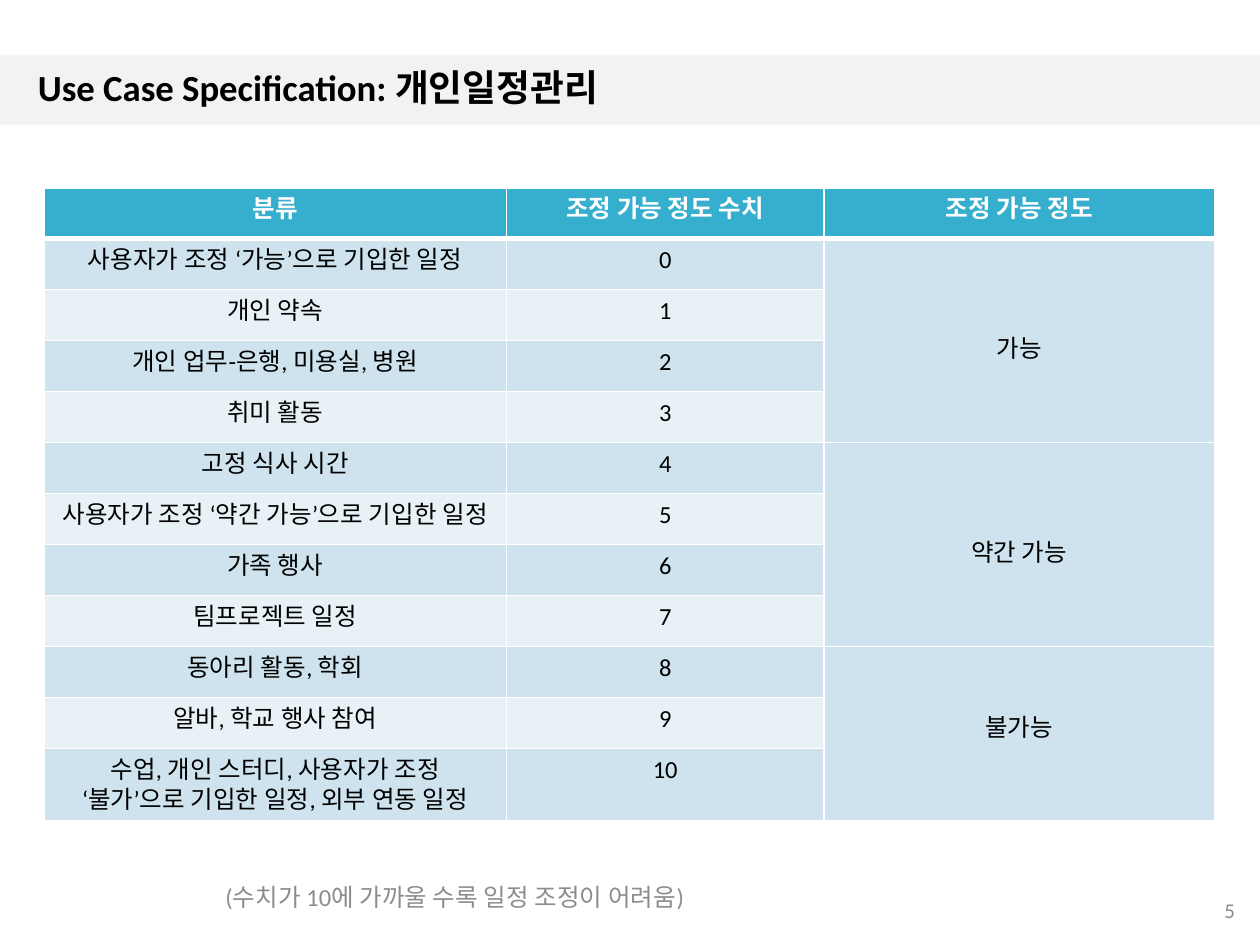
from lxml import etree
from pptx import Presentation
from pptx.dml.color import RGBColor
from pptx.enum.lang import MSO_LANGUAGE_ID
from pptx.enum.shapes import MSO_SHAPE
from pptx.enum.text import MSO_ANCHOR, MSO_AUTO_SIZE, PP_ALIGN
from pptx.oxml.ns import qn
from pptx.util import Inches, Pt

RECTANGLE = MSO_SHAPE.RECTANGLE
LEFT, CENTER, RIGHT = PP_ALIGN.LEFT, PP_ALIGN.CENTER, PP_ALIGN.RIGHT
MIDDLE = MSO_ANCHOR.MIDDLE
NO_AUTOFIT = MSO_AUTO_SIZE.NONE
KOREAN = MSO_LANGUAGE_ID.KOREAN
TITLE_ONLY = 5

FONT = "Calibri"
BLACK, WHITE, GRAY = "000000", "FFFFFF", "8C8C8C"
BAND, HEADER = "F2F2F2", "36AFCE"
STRIPES = ("CEE3ED", "E8F2F6")

COLUMN_WIDTHS = (3.67, 2.52, 3.1)
HEADINGS = ("분류", "조정 가능 정도 수치", "조정 가능 정도")
CATEGORIES = (
    "사용자가 조정 ‘가능’으로 기입한 일정",
    "개인 약속",
    "개인 업무-은행, 미용실, 병원",
    "취미 활동",
    "고정 식사 시간",
    "사용자가 조정 ‘약간 가능’으로 기입한 일정",
    "가족 행사",
    "팀프로젝트 일정",
    "동아리 활동, 학회",
    "알바, 학교 행사 참여",
    "수업, 개인 스터디, 사용자가 조정 ‘불가’으로 기입한 일정, 외부 연동 일정",
)
# Label, number of rows covered, space above the label
LEVELS = (("가능", 4, 0.76), ("약간 가능", 4, 0.76), ("불가능", 3, 0.53))


def color(value):
    return RGBColor.from_string(value)


def place(shape, box):
    for name, length in zip(("left", "top", "width", "height"), box):
        setattr(shape, name, Inches(length))


def write(frame, text, size, ink, align=LEFT, bold=False):
    para = frame.paragraphs[0]
    para.alignment = align
    span = para.add_run()
    span.text = text
    font_values = {"name": FONT, "size": Pt(size), "bold": bold,
                   "language_id": KOREAN}
    for name, value in font_values.items():
        setattr(span.font, name, value)
    span.font.color.rgb = color(ink)
    latin = span._r.get_or_add_rPr().find(qn("a:latin"))
    latin.addnext(etree.Element(qn("a:ea"), typeface=FONT))
    return para


def add_band(page, box):
    """Add the heading strip behind everything else."""
    band = page.shapes.add_shape(RECTANGLE, *map(Inches, box))
    band.shadow.inherit = False
    band.fill.solid()
    band.fill.fore_color.rgb = color(BAND)
    band.line.fill.background()
    page.shapes.title._element.addprevious(band._element)


def set_title(page, box, text):
    title = page.shapes.title
    place(title, box)
    frame = title.text_frame
    frame.auto_size = NO_AUTOFIT
    frame.vertical_anchor = MIDDLE
    write(frame, text, 21, BLACK, bold=True).line_spacing = 0.9


def add_note(page, box, text, size, align=LEFT):
    frame = page.shapes.add_textbox(*map(Inches, box)).text_frame
    frame.word_wrap = True
    frame.vertical_anchor = MIDDLE
    write(frame, text, size, GRAY, align)


def set_borders(cell, top, bottom):
    """Draw white cell borders; top and bottom are widths in points."""
    properties = cell._tc.get_or_add_tcPr()
    for side, width in (("L", 1), ("R", 1), ("T", top), ("B", bottom)):
        line = etree.SubElement(properties, qn(f"a:ln{side}"), w=str(Pt(width)))
        fill = etree.SubElement(line, qn("a:solidFill"))
        etree.SubElement(fill, qn("a:srgbClr"), val=WHITE)


def style_cell(cell, row):
    set_borders(cell, 3 if row == 1 else 1, 3 if row == 0 else 1)
    cell.fill.solid()
    cell.fill.fore_color.rgb = color(STRIPES[(row - 1) % 2] if row else HEADER)


def add_schedule_table(page, box):
    row_count = len(CATEGORIES) + 1
    table = page.shapes.add_table(
        row_count, len(HEADINGS), *map(Inches, box)).table
    for column, width in zip(table.columns, COLUMN_WIDTHS):
        column.width = Inches(width)
    for index, row in enumerate(table.rows):
        row.height = Inches(box[3] / row_count)
        for cell in row.cells:
            style_cell(cell, index)

    for column, heading in enumerate(HEADINGS):
        write(table.cell(0, column).text_frame, heading, 14, WHITE, CENTER, True)
    for score, category in enumerate(CATEGORIES):
        for column, text in enumerate((category, str(score))):
            frame = table.cell(score + 1, column).text_frame
            write(frame, text, 14, BLACK, CENTER)

    first = 1
    for label, count, space in LEVELS:
        cell = table.cell(first, 2)
        cell.merge(table.cell(first + count - 1, 2))
        cell.fill.fore_color.rgb = color(STRIPES[0])
        cell.margin_top = Inches(space)
        write(cell.text_frame, label, 14, BLACK, CENTER)
        first += count


def main():
    deck = Presentation()
    deck.slide_width, deck.slide_height = Inches(10), Inches(7.5)
    page = deck.slides.add_slide(deck.slide_layouts[TITLE_ONLY])
    add_band(page, (0, 0.44, 10, 0.55))
    set_title(page, (0.2, 0.43, 9.45, 0.56), "Use Case Specification: 개인일정관리")
    add_schedule_table(page, (0.35, 1.49, 9.29, 4.86))
    add_note(page, (1.69, 6.92, 5.44, 0.4),
             "(수치가 10에 가까울 수록 일정 조정이 어려움)", 14)
    add_note(page, (7.65, 7.02, 2.25, 0.4), "5", 12, RIGHT)
    deck.save("out.pptx")


if __name__ == "__main__":
    main()
